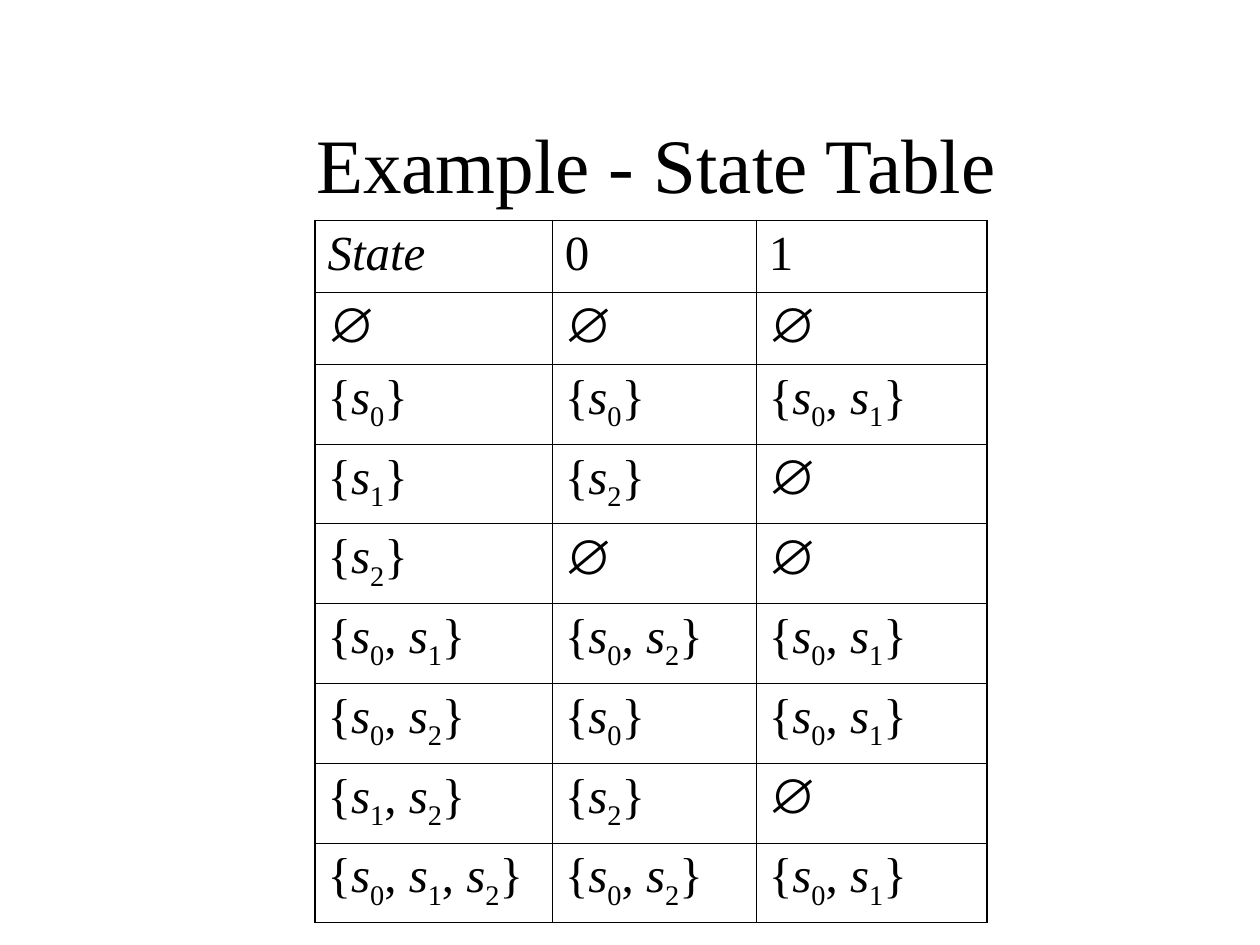
from dataclasses import dataclass

import pptx
import pptx.dml.color
import pptx.enum.text
import pptx.oxml
import pptx.oxml.ns
import pptx.util

Pt = pptx.util.Pt
COLORS = {"ink": "000000"}
SERIF, SYMBOL = "Times New Roman", "Arial"
COLUMN_WIDTHS = [135.6, 116.6, 131.8]
HEADER_HEIGHT, SET_HEIGHT = 41.1, 45.6
OUTER_LINE, INNER_LINE = 1.08, 0.45


@dataclass(frozen=True)
class Transition:
    """A state set and its successors on each input, given as state indices."""

    state: str
    on_zero: str
    on_one: str


TRANSITIONS = [
    Transition("", "", ""),
    Transition("0", "0", "01"),
    Transition("1", "2", ""),
    Transition("2", "", ""),
    Transition("01", "02", "01"),
    Transition("02", "0", "01"),
    Transition("12", "2", ""),
    Transition("012", "02", "01"),
]


def add_text(paragraph, text: str, *, size: float = 28, font: str = SERIF,
             italic: bool = False, subscript: bool = False) -> None:
    """Append a formatted run to a paragraph."""
    run = paragraph.add_run()
    run.text = text
    run.font.size = Pt(size)
    run.font.name = font
    run.font.italic = italic
    run.font.color.rgb = pptx.dml.color.RGBColor.from_string(COLORS["ink"])
    if subscript:
        run.font._element.set("baseline", "-25000")


def add_state_set(paragraph, indices: str) -> None:
    """Write a set of subscripted states, or the empty set sign."""
    if not indices:
        add_text(paragraph, "∅", font=SYMBOL)
        return
    add_text(paragraph, "{")
    for position, index in enumerate(indices):
        if position:
            add_text(paragraph, ", ")
        add_text(paragraph, "s", italic=True)
        add_text(paragraph, index, subscript=True)
    add_text(paragraph, "}")


def set_borders(cell, outer_sides: dict[str, bool]) -> None:
    """Draw the four cell borders, heavier on the outside of the table."""
    properties = cell._tc.get_or_add_tcPr()
    for position, (side, is_outer) in enumerate(outer_sides.items()):
        width = Pt(OUTER_LINE if is_outer else INNER_LINE)
        line = pptx.oxml.parse_xml(
            f'<a:ln{side} {pptx.oxml.ns.nsdecls("a")} w="{width}"><a:solidFill>'
            f'<a:srgbClr val="{COLORS["ink"]}"/></a:solidFill></a:ln{side}>')
        properties.insert(position, line)


def add_title(slide, text: str) -> None:
    """Add the centred slide title."""
    shape = slide.shapes.add_textbox(Pt(96), Pt(48), Pt(558), Pt(90))
    frame = shape.text_frame
    frame.word_wrap = True
    frame.vertical_anchor = pptx.enum.text.MSO_ANCHOR.MIDDLE
    paragraph = frame.paragraphs[0]
    paragraph.alignment = pptx.enum.text.PP_ALIGN.CENTER
    add_text(paragraph, text, size=44)


def add_state_table(slide, transitions: list[Transition]) -> None:
    """Add the table of state sets and their successors."""
    heights = [HEADER_HEIGHT] * 2 + [SET_HEIGHT] * (len(transitions) - 1)
    last_row, last_column = len(heights) - 1, len(COLUMN_WIDTHS) - 1
    table = slide.shapes.add_table(
        len(heights), len(COLUMN_WIDTHS), Pt(180), Pt(126),
        Pt(sum(COLUMN_WIDTHS)), Pt(sum(heights))).table
    table.first_row = table.horz_banding = False
    for column, width in zip(table.columns, COLUMN_WIDTHS):
        column.width = Pt(width)
    for row, height in zip(table.rows, heights):
        row.height = Pt(height)
    for row_index in range(len(heights)):
        for column_index in range(len(COLUMN_WIDTHS)):
            cell = table.cell(row_index, column_index)
            cell.fill.background()
            set_borders(cell, {"L": column_index == 0, "R": column_index == last_column,
                               "T": row_index == 0, "B": row_index == last_row})
            paragraph = cell.text_frame.paragraphs[0]
            paragraph.space_before = Pt(7)
            if row_index == 0:
                add_text(paragraph, ("State", "0", "1")[column_index],
                         italic=column_index == 0)
            else:
                entry = transitions[row_index - 1]
                add_state_set(
                    paragraph, (entry.state, entry.on_zero, entry.on_one)[column_index])


def main() -> None:
    """Build and save the presentation."""
    presentation = pptx.Presentation()
    presentation.slide_width, presentation.slide_height = Pt(720), Pt(540)
    slide = presentation.slides.add_slide(presentation.slide_layouts[6])
    add_title(slide, "Example - State Table")
    add_state_table(slide, TRANSITIONS)
    presentation.save("out.pptx")


if __name__ == "__main__":
    main()
